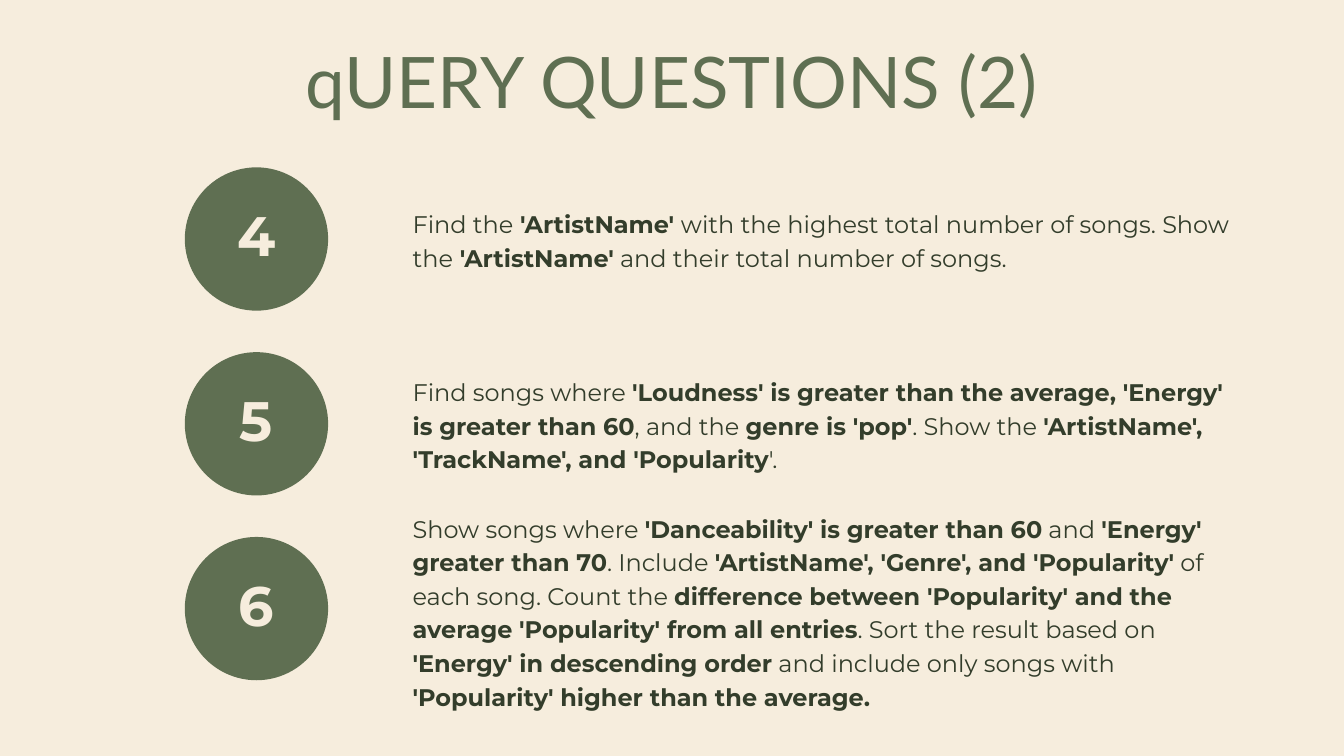
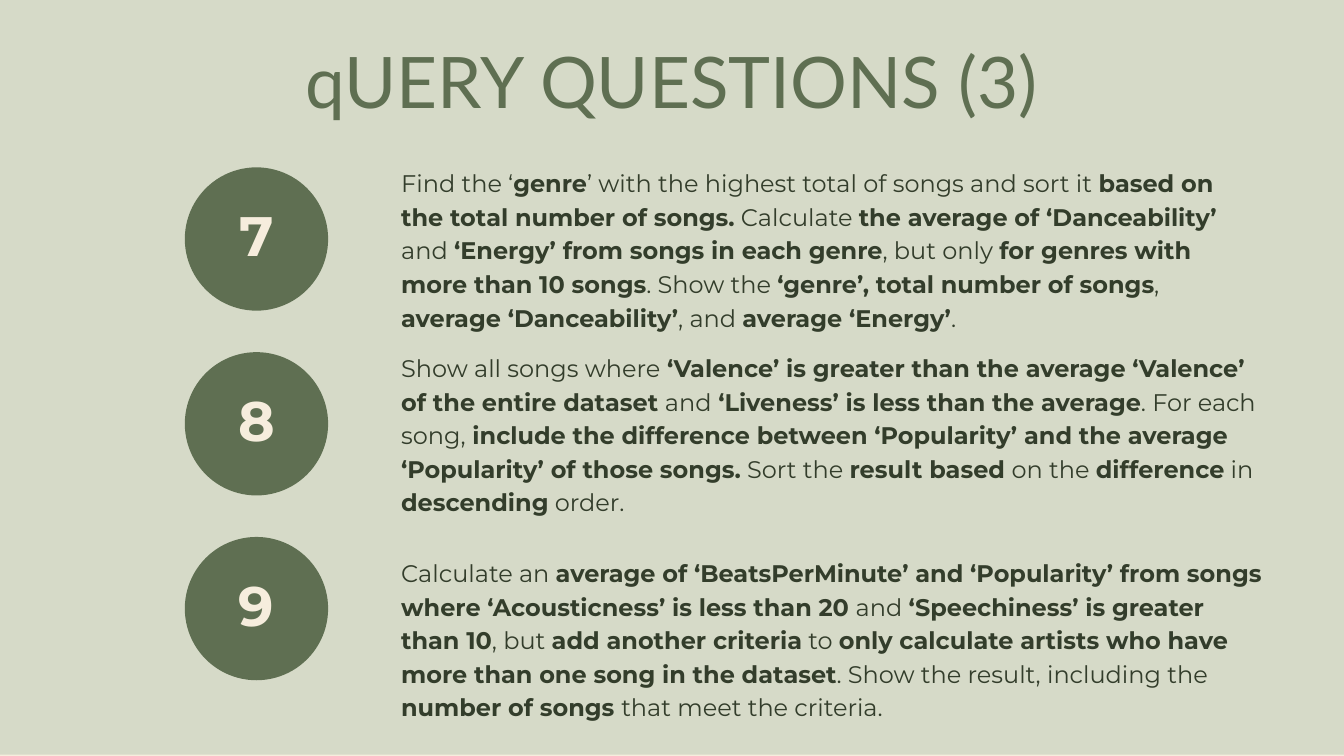
from pptx import Presentation
from pptx.dml.color import RGBColor
from pptx.enum.shapes import MSO_SHAPE
from pptx.enum.text import MSO_ANCHOR, MSO_AUTO_SIZE, PP_ALIGN
from pptx.util import Inches, Pt

CREAM = RGBColor(0xF6, 0xED, 0xDD)
SAGE = RGBColor(0xD6, 0xDA, 0xC8)
GREEN = RGBColor(0x5F, 0x6F, 0x52)
DARK = RGBColor(0x33, 0x3D, 0x2B)

# Grid of 80 columns by 45 rows, each a quarter inch
COLS, ROWS = 80, 45
FIRST, STEP = 9.96, 11  # row of the first disc, rows from disc to disc
LINE = 1.95             # rows taken by one line of question text

# Each question: row, width in columns, lines, text with *bold* parts
ASKS = [
    ("qUERY QUESTIONS (2)", None, 4, 24.56, [
        (12.2, 48.6, 2,
         "Find the* 'ArtistName' *with the highest total number of songs. "
         "Show the* 'ArtistName'* and their total number of songs."),
        (22.2, 49.32, 3,
         "Find songs where *'Loudness' is greater than the average, 'Energy' "
         "is greater than 60*, and the *genre is 'pop'*. Show the "
         "*'ArtistName', 'TrackName', and 'Popularity*'."),
        (30.32, 48.6, 6,
         "Show songs where *'Danceability' is greater than 60* and *'Energy' "
         "greater than 70*. Include *'ArtistName', 'Genre', and 'Popularity'* "
         "of each song. Count the *difference between 'Popularity' and the "
         "average 'Popularity' from all entries*. Sort the result based on "
         "*'Energy' in descending order* and include only songs with "
         "*'Popularity' higher than the average.*"),
    ]),
    ("qUERY QUESTIONS (3)", SAGE, 7, 23.88, [
        (9.76, 49.6, 5,
         "Find the ‘*genre*’ with the highest total of songs and sort it* "
         "based on the total number of songs.* Calculate *the average of "
         "‘Danceability’* and *‘Energy’ from songs in each genre*, but only "
         "*for genres with more than 10 songs*. Show the *‘genre’, total "
         "number of songs*, *average ‘Danceability’*, and *average ‘Energy’*."),
        (20.76, 50.96, 5,
         "Show all songs where* ‘Valence’ is greater than the average "
         "‘Valence’ of the entire dataset *and* ‘Liveness’ is less than the "
         "average*. For each song,* include the difference between "
         "‘Popularity’ and the average ‘Popularity’ of those songs.* Sort the "
         "*result based *on the *difference* in *descending* order."),
        (32.96, 51.64, 5,
         "Calculate an *average of ‘BeatsPerMinute’ and ‘Popularity’ from "
         "songs where ‘Acousticness’ is less than 20 *and *‘Speechiness’ is "
         "greater than 10*, but *add another criteria* to *only calculate "
         "artists who have more than one song in the dataset*. Show the "
         "result, including the *number of songs *that meet the criteria."),
    ]),
]


class Deck:
    def __init__(self):
        self.prs = Presentation()
        self.prs.slide_width, self.prs.slide_height = Inches(20), Inches(11.25)
        self.slide = None

    def box(self, col, row, wide, high):
        unit_x = self.prs.slide_width / COLS
        unit_y = self.prs.slide_height / ROWS
        return (round(col * unit_x), round(row * unit_y),
                round(wide * unit_x), round(high * unit_y))

    def page(self, tint=None):
        self.slide = self.prs.slides.add_slide(self.prs.slide_layouts[6])
        fill = self.slide.background.fill
        fill.solid()
        fill.fore_color.rgb = CREAM
        if tint is not None:
            self.shape(MSO_SHAPE.RECTANGLE, 0, -0.08, COLS, ROWS, tint)

    def shape(self, kind, col, row, wide, high, color):
        item = self.slide.shapes.add_shape(kind, *self.box(col, row, wide, high))
        item.shadow.inherit = False
        item.fill.solid()
        item.fill.fore_color.rgb = color
        item.line.fill.background()

    def text(self, col, row, wide, high, words, face, size, lead, color,
             align=PP_ALIGN.LEFT, pad=0):
        area = self.slide.shapes.add_textbox(*self.box(col, row, wide, high))
        frame = area.text_frame
        frame.word_wrap = True
        frame.margin_left = frame.margin_right = Inches(pad)
        frame.margin_top = frame.margin_bottom = Inches(pad)
        if pad:
            frame.vertical_anchor = MSO_ANCHOR.MIDDLE
        else:
            frame.auto_size = MSO_AUTO_SIZE.SHAPE_TO_FIT_TEXT
        para = frame.paragraphs[0]
        para.alignment = align
        para.line_spacing = Pt(lead)
        para.font.name, para.font.size = face, Pt(size)
        para.font.color.rgb = color
        # Every second part between asterisks is bold
        for spot, part in enumerate(words.split("*")):
            if part:
                run = para.add_run()
                run.text = part
                run.font.name, run.font.size = face, Pt(size)
                run.font.color.rgb = color
                run.font.bold = spot % 2 == 1

    def title(self, words):
        self.text(4.48, 2.2, 71, 5.08, words, "Lato", 76.1, 92.1, GREEN,
                  PP_ALIGN.CENTER)

    def disc(self, row, number):
        self.shape(MSO_SHAPE.OVAL, 11, row, 8.53, 8.53, GREEN)
        self.text(11.8, row - 0.4, 6.93, 8.13, f"*{number}*", "Montserrat",
                  59.5, 83.3, CREAM, PP_ALIGN.CENTER, 0.06)

    def ask(self, col, row, wide, lines, words):
        self.text(col, row, wide, lines * LINE, words, "Montserrat",
                  25.7, 36, DARK)


def main():
    deck = Deck()
    for title, tint, start, col, asks in ASKS:
        deck.page(tint)
        deck.title(title)
        for spot, (row, wide, lines, words) in enumerate(asks):
            deck.disc(FIRST + spot * STEP, start + spot)
            deck.ask(col, row, wide, lines, words)
    deck.prs.save("out.pptx")


if __name__ == "__main__":
    main()
